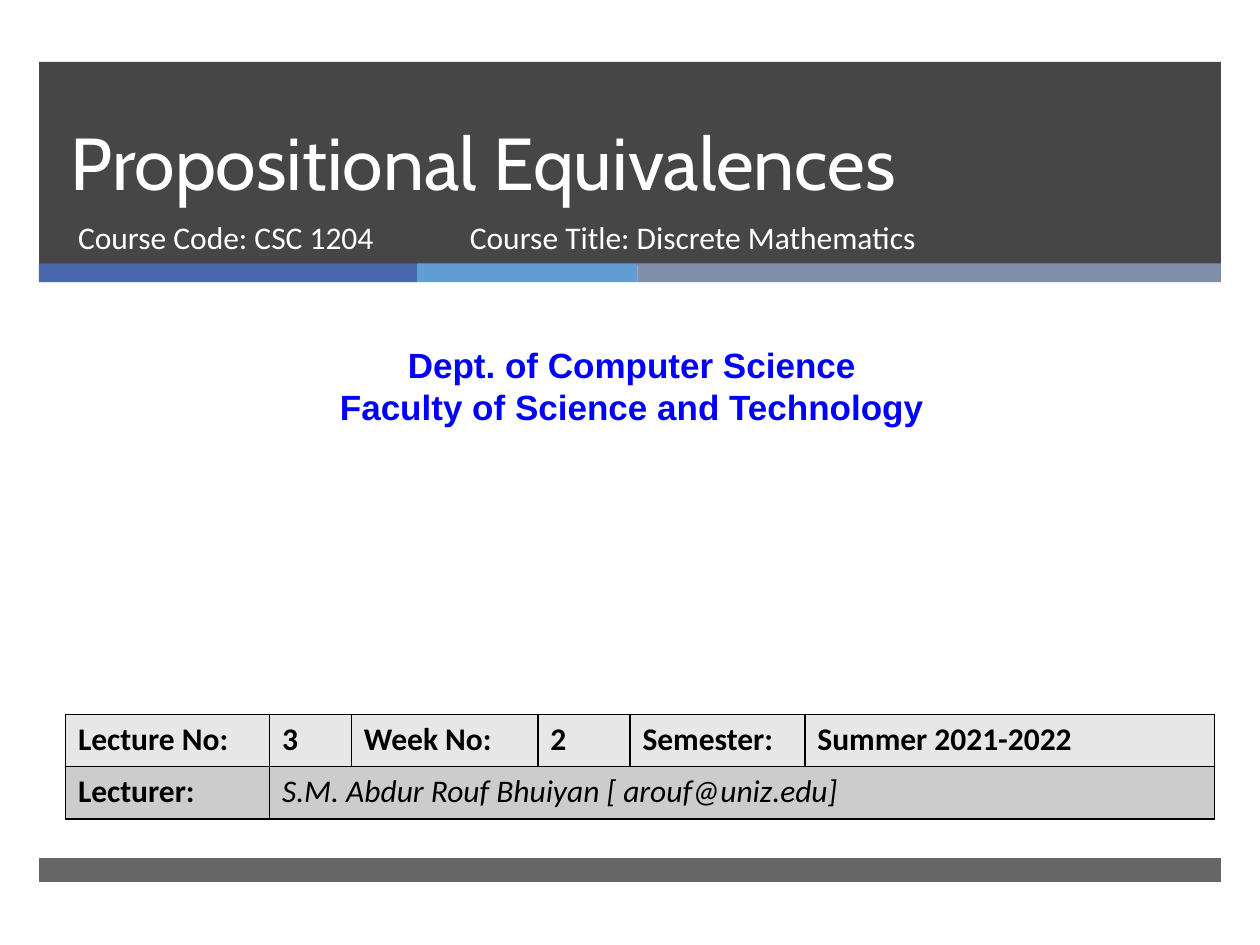
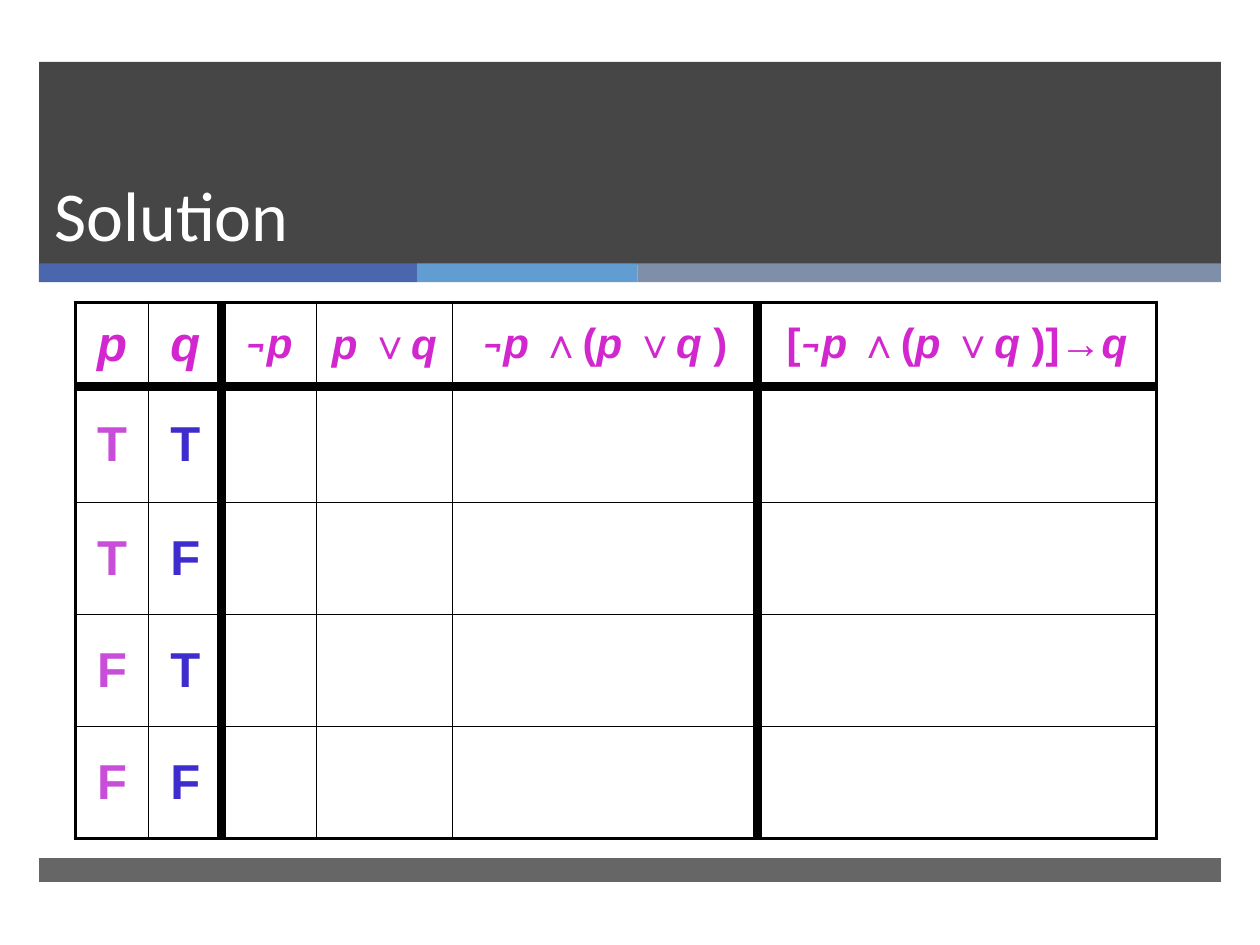
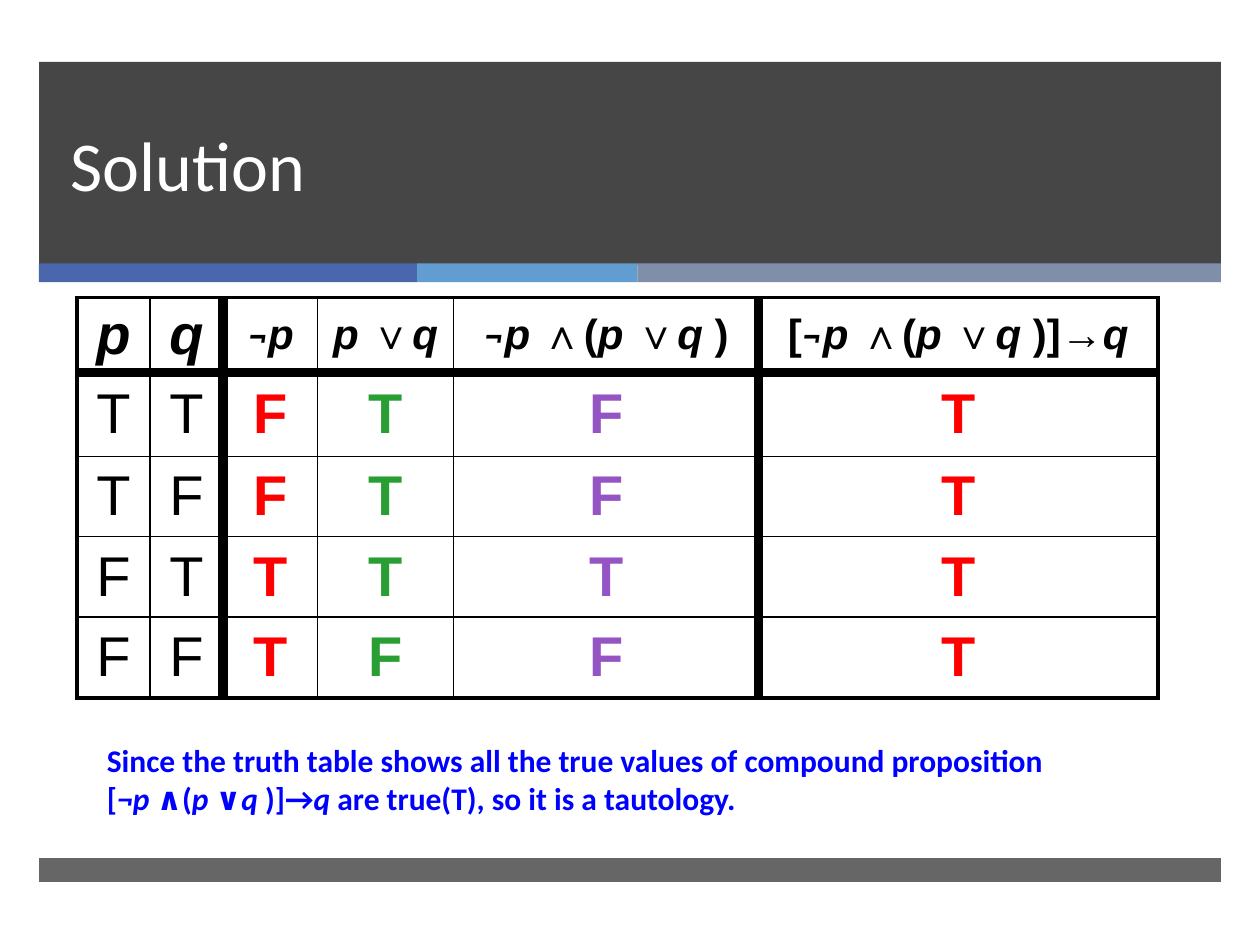
from dataclasses import dataclass
from itertools import accumulate, groupby
from typing import Optional, Sequence, Union

from lxml.etree import SubElement
from pptx import Presentation
from pptx.dml.color import RGBColor
from pptx.enum.shapes import MSO_SHAPE as Preset
from pptx.enum.text import MSO_ANCHOR as Anchor, MSO_AUTO_SIZE as AutoSize, PP_ALIGN as Align
from pptx.oxml.ns import qn
from pptx.util import Pt

WHITE, BLACK, CHARCOAL, BLUE = "FFFFFF", "000000", "262626", "0000FF"
MAGENTA, ORCHID, INDIGO = "D226CE", "C84DD9", "3F2CCC"
RED, GREEN, PURPLE = "FF0000", "289E33", "9454C3"
LIGHT_ROW, DARK_ROW = "E7E7E7", "CCCCCC"
SYMBOL_FONT = "Karla"


@dataclass(frozen=True)
class Box:
    """A place on the slide, in points."""
    left: float
    top: float
    width: float
    height: float

    def lengths(self) -> tuple:
        """Return left, top, width and height as lengths."""
        return Pt(self.left), Pt(self.top), Pt(self.width), Pt(self.height)


@dataclass(frozen=True)
class Band:
    """A filled strip shared by all slides."""
    box: Box
    color: str
    opacity: int = 100


@dataclass(frozen=True)
class Run:
    """A piece of a paragraph that differs from its neighbours."""
    text: str
    italic: bool = False
    font: Optional[str] = None


@dataclass(frozen=True)
class ColumnStyle:
    """The look of the truth values in one column."""
    color: str
    bold: bool = True


Paragraph = Union[str, Sequence[Run]]

EDGE, BAND_WIDTH = 22.3, 675.4
STRIPE_TOP, STRIPE_HEIGHT = 150.5, 10.8
STRIPES = [("4A66AC", 216), ("629DD1", 126), ("7F8FA9", 333.4)]
STRIPE_LEFTS = accumulate((width for _, width in STRIPES), initial=EDGE)
BANDS = [
    Band(Box(EDGE, 35.3, BAND_WIDTH, 115.9), CHARCOAL, 85),
    *(Band(Box(left, STRIPE_TOP, width, STRIPE_HEIGHT), color)
      for left, (color, width) in zip(STRIPE_LEFTS, STRIPES)),
    Band(Box(EDGE, 490.3, BAND_WIDTH, 13.7), CHARCOAL, 70),
]
HIGH_TITLE = Box(33.1, 35.3, 614.9, 85.7)
LOW_TITLE = Box(23.8, 43.2, 673.2, 106.6)

TRUTH_COLUMNS = [41.8, 41.8, 54, 77.8, 174.2, 228.2]
COLUMN_LINES = [2.25, 1, 6, 1, 1, 6, 2.25]
ROW_LINES = [2.25, 6, 0.25, 1, 1, 2.25]
FORMULAS = ["p", "q", "¬p", "p ∨q", "¬p ∧(p ∨q )", "[¬p ∧(p ∨q )]→q"]


def rgb(color: str) -> RGBColor:
    """Turn a hex string into a colour."""
    return RGBColor.from_string(color)


def formula_runs(formula: str, symbol_font: Optional[str] = SYMBOL_FONT) -> list[Run]:
    """Split a formula: variables and negation italic, other signs upright."""
    def kind(sign: str) -> str:
        return "negation" if sign == "¬" else "variable" if sign in "pq " else "sign"

    return [Run("".join(signs), part != "sign", symbol_font if part == "negation" else None)
            for part, signs in groupby(formula, kind)]


def put_text(frame, paragraphs: Sequence[Paragraph], *, size: float, color: str,
             font: str = "Calibri", bold: bool = False, italic: bool = False,
             align=Align.LEFT, line_points: Optional[float] = None,
             space_percent: Optional[int] = None) -> None:
    """Write formatted paragraphs into a text frame."""
    for index, content in enumerate(paragraphs):
        paragraph = frame.paragraphs[0] if index == 0 else frame.add_paragraph()
        paragraph.alignment = align
        paragraph.space_before = Pt(0)
        if line_points:
            paragraph.line_spacing = Pt(line_points)
        if space_percent:
            spacing = paragraph._p.get_or_add_pPr().find(qn("a:spcBef"))
            spacing.remove(spacing[0])
            SubElement(spacing, qn("a:spcPct")).set("val", str(space_percent * 1000))
        for piece in [Run(content, italic)] if isinstance(content, str) else content:
            run = paragraph.add_run()
            run.text = piece.text
            run.font.size = Pt(size)
            run.font.name = piece.font or font
            run.font.bold = bold
            run.font.italic = piece.italic
            run.font.color.rgb = rgb(color)


def fill_placeholder(holder, box: Box, text: str, *, anchor=Anchor.TOP, **style) -> None:
    """Move a placeholder and write its text."""
    holder.left, holder.top, holder.width, holder.height = box.lengths()
    frame = holder.text_frame
    frame.auto_size = AutoSize.NONE
    frame.vertical_anchor = anchor
    put_text(frame, [text], **style)


def add_title(slide, text: str, box: Box, *, size: float = 40, font: str = "Calibri") -> None:
    """Write the white title at the foot of its box."""
    fill_placeholder(slide.shapes.title, box, text, anchor=Anchor.BOTTOM,
                     size=size, font=font, color=WHITE, line_points=46)


def add_text(slide, box: Box, paragraphs: Sequence[Paragraph], **style) -> None:
    """Add a wrapping text box."""
    frame = slide.shapes.add_textbox(*box.lengths()).text_frame
    frame.word_wrap = True
    put_text(frame, paragraphs, **style)


def add_master_bands(master, slide) -> None:
    """Draw the bands and place them behind everything on the master."""
    for index, band in enumerate(BANDS):
        strip = slide.shapes.add_shape(Preset.RECTANGLE, *band.box.lengths())
        strip.shadow.inherit = False
        strip.line.fill.background()
        strip.fill.solid()
        strip.fill.fore_color.rgb = rgb(band.color)
        element = strip._element
        if band.opacity < 100:
            tint = element.spPr.find(qn("a:solidFill"))[0]
            SubElement(tint, qn("a:alpha")).set("val", str(band.opacity * 1000))
        element.nvSpPr.cNvPr.set("id", str(100 + index))
        master.shapes._spTree.insert(2 + index, element)


def add_grid(slide, left: float, top: float, columns: Sequence[float], rows: Sequence[float]):
    """Add a table without banding, with the given column and row sizes."""
    place = Box(left, top, sum(columns), sum(rows))
    grid = slide.shapes.add_table(len(rows), len(columns), *place.lengths()).table
    grid.first_row = grid.horz_banding = False
    for column, width in zip(grid.columns, columns):
        column.width = Pt(width)
    for row, height in zip(grid.rows, rows):
        row.height = Pt(height)
    return grid


def style_cell(cell, borders: Sequence[float], fill: Optional[str] = None) -> None:
    """Set the left, right, top and bottom border widths and the fill."""
    properties = cell._tc.get_or_add_tcPr()
    for side, width in zip("LRTB", borders):
        line = SubElement(properties, qn(f"a:ln{side}"), w=str(Pt(width)))
        SubElement(SubElement(line, qn("a:solidFill")), qn("a:srgbClr"), val=BLACK)
    if fill:
        cell.fill.solid()
        cell.fill.fore_color.rgb = rgb(fill)
    else:
        cell.fill.background()


def add_lecture_table(slide) -> None:
    """Add the table with lecture, week, semester and lecturer."""
    grid = add_grid(slide, 37.4, 408.2, [116.6, 46.8, 106.6, 52.6, 100, 234], [29.9, 29.9])
    lines = [
        ["Lecture No:", "3", "Week No:", "2", "Semester:", "Summer 2021-2022"],
        ["Lecturer:", "S.M. Abdur Rouf Bhuiyan [ arouf@uniz.edu]"],
    ]
    for r, (texts, fill) in enumerate(zip(lines, [LIGHT_ROW, DARK_ROW])):
        for c in range(len(grid.columns)):
            style_cell(grid.cell(r, c), [1] * 4, fill)
        for c, text in enumerate(texts):
            is_lecturer = (r, c) == (1, 1)
            put_text(grid.cell(r, c).text_frame, [text], size=18, color=BLACK,
                     bold=not is_lecturer, italic=is_lecturer)
    grid.cell(1, 1).merge(grid.cell(1, 5))


def add_truth_table(slide, left: float, top: float, rows: Sequence[float],
                    values: Sequence[str], columns: Sequence[ColumnStyle], *,
                    size: float, header_color: str) -> None:
    """Add a truth table; each string in values holds one row of T and F."""
    grid = add_grid(slide, left, top, TRUTH_COLUMNS, rows)
    shared = dict(font="Arial", align=Align.CENTER, space_percent=20)
    for r in range(len(rows)):
        for c in range(len(TRUTH_COLUMNS)):
            cell = grid.cell(r, c)
            style_cell(cell, COLUMN_LINES[c:c + 2] + ROW_LINES[r:r + 2])
            cell.vertical_anchor = Anchor.MIDDLE
    for c, formula in enumerate(FORMULAS):
        put_text(grid.cell(0, c).text_frame, [formula_runs(formula)],
                 size=size if len(formula) == 1 else 24, color=header_color, bold=True, **shared)
    for r, row_values in enumerate(values, start=1):
        for c, (value, look) in enumerate(zip(row_values, columns)):
            put_text(grid.cell(r, c).text_frame, [value], size=size,
                     color=look.color, bold=look.bold, **shared)


def build_cover(deck) -> None:
    """Build the opening slide and the bands on the master."""
    slide = deck.slides.add_slide(deck.slide_layouts[0])
    add_master_bands(deck.slide_master, slide)
    add_title(slide, "Propositional Equivalences", HIGH_TITLE, size=42, font="Cabin")
    fill_placeholder(slide.placeholders[1], Box(37.4, 121, 219.6, 38.2),
                     "Course Code: CSC 1204", size=18, color=WHITE)
    add_text(slide, Box(5.8, 193, 710.6, 55.4),
             ["Dept. of Computer Science", "Faculty of Science and Technology"],
             size=20, font="Arial", color=BLUE, bold=True, align=Align.CENTER)
    add_lecture_table(slide)
    add_text(slide, Box(261.4, 121, 327.6, 38.2), ["Course Title: Discrete Mathematics"],
             size=18, color=WHITE)


def build_exercise(deck) -> None:
    """Build the truth table that is still to be filled in."""
    slide = deck.slides.add_slide(deck.slide_layouts[5])
    add_title(slide, "Solution", LOW_TITLE)
    add_truth_table(slide, 43.2, 172.8, [48.2, 66.2, 64, 64, 64], ["TT", "TF", "FT", "FF"],
                    [ColumnStyle(ORCHID), ColumnStyle(INDIGO)], size=28, header_color=MAGENTA)


def build_answer(deck) -> None:
    """Build the finished truth table with its conclusion."""
    slide = deck.slides.add_slide(deck.slide_layouts[5])
    add_title(slide, "Solution", HIGH_TITLE)
    given = ColumnStyle(BLACK, bold=False)
    add_truth_table(slide, 43.9, 169.9, [34.6, 47.5, 46.1, 46.1, 46.1],
                    ["TTFTFT", "TFFTFT", "FTTTTT", "FFTFFT"],
                    [given, given, *map(ColumnStyle, [RED, GREEN, PURPLE, RED])],
                    size=32, header_color=BLACK)
    add_text(slide, Box(54, 419.8, 599.8, 50.4),
             ["Since the truth table shows all the true values of compound proposition",
              [*formula_runs(FORMULAS[-1] + " ", symbol_font=None),
               Run("are true(T), so it is a tautology.")]],
             size=18, color=BLUE, bold=True)


def main() -> None:
    """Build the deck and save it."""
    deck = Presentation()
    deck.slide_width, deck.slide_height = Pt(720), Pt(540)
    build_cover(deck)
    build_exercise(deck)
    build_answer(deck)
    deck.save("out.pptx")


main()
